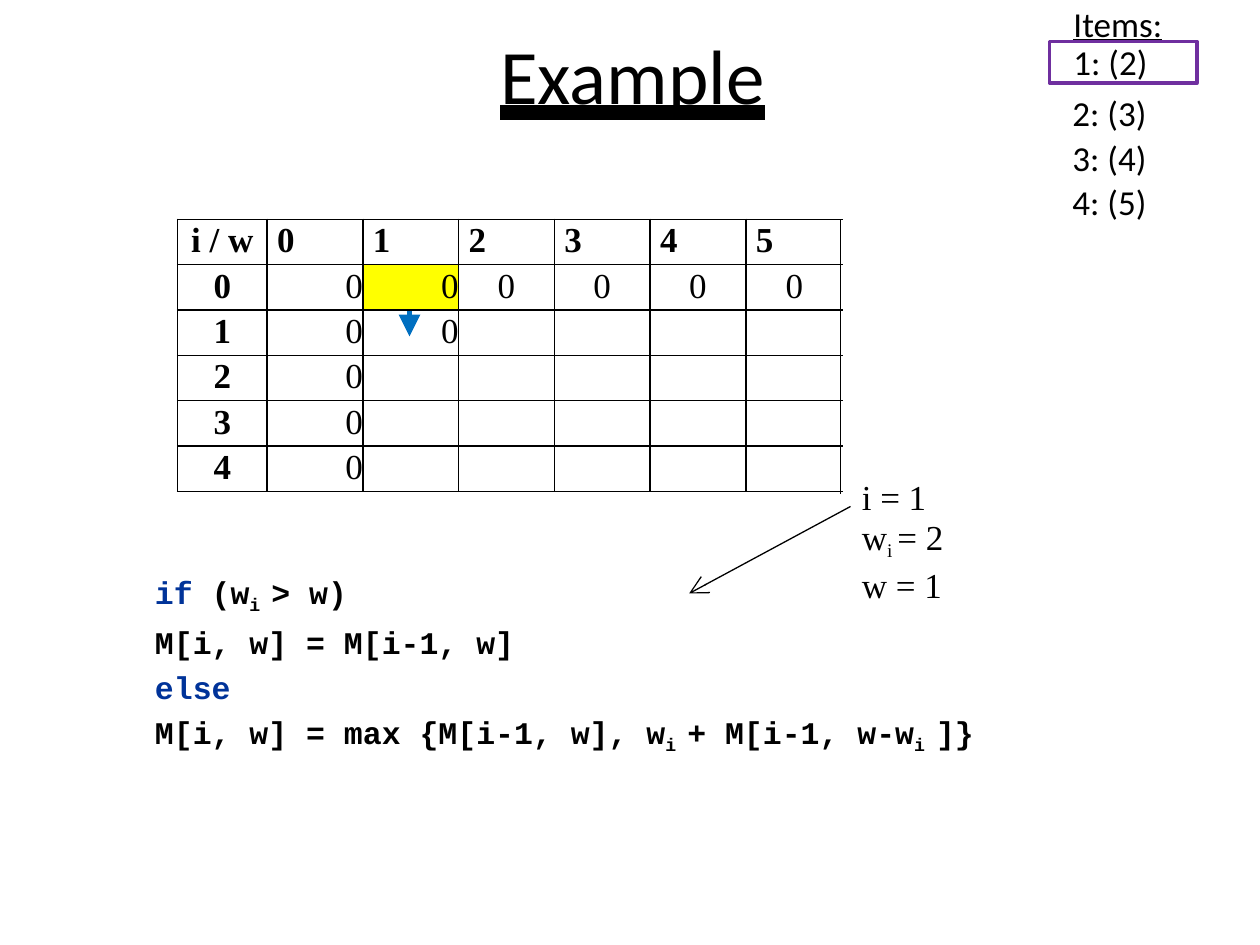
from lxml.etree import SubElement
from pptx import Presentation
from pptx.dml.color import RGBColor as Color
from pptx.enum.shapes import MSO_CONNECTOR as Connector, MSO_SHAPE as Shape
from pptx.enum.text import MSO_ANCHOR as Anchor, MSO_UNDERLINE as Underline, PP_ALIGN as Align
from pptx.oxml.ns import qn
from pptx.util import Inches, Pt

COLORS = {"black": "000000", "purple": "6F2F9F", "keyword": "003399",
          "arrow": "006FC0", "highlight": "FFFF00"}
SUB = {"baseline": -21000}


def color(name):
    return Color.from_string(COLORS[name])


def write_text(frame, lines, align=Align.LEFT, before=0, spacing=None, **style):
    frame.word_wrap = True
    frame.vertical_anchor = Anchor.TOP
    frame.margin_left = frame.margin_right = frame.margin_top = frame.margin_bottom = 0
    for index, line in enumerate(lines):
        paragraph = frame.add_paragraph() if index else frame.paragraphs[0]
        paragraph.alignment = align
        paragraph.space_before = Pt(before if index else 0)
        if spacing:
            paragraph.line_spacing = Pt(spacing)
        for text, changes in [(line, {})] if isinstance(line, str) else line:
            look = {**style, **changes}
            run = paragraph.add_run()
            run.text = text
            run.font.name = look.get("font", "Calibri")
            run.font.size = Pt(look.get("size", 20))
            run.font.bold = look.get("bold", False)
            run.font.underline = look.get("underline")
            run.font.color.rgb = color(look.get("ink", "black"))
            if "baseline" in look:
                run.font._element.set("baseline", str(look["baseline"]))


class SlideBuilder:
    def __init__(self, slide):
        self.slide = slide

    def text(self, left, top, width, height, lines, **style):
        box = self.slide.shapes.add_textbox(Inches(left), Inches(top), Inches(width), Inches(height))
        write_text(box.text_frame, lines, **style)

    def outline_box(self, left, top, width, height, label, indent, **style):
        shape = self.slide.shapes.add_shape(
            Shape.RECTANGLE, Inches(left), Inches(top), Inches(width), Inches(height))
        shape.shadow.inherit = False
        shape.fill.background()
        shape.line.color.rgb = color("purple")
        shape.line.width = Pt(2)
        write_text(shape.text_frame, [label], **style)
        shape.text_frame.margin_left = Inches(indent)

    def line(self, x1, y1, x2, y2, ink="black", weight=1, head=None):
        line = self.slide.shapes.add_connector(
            Connector.STRAIGHT, Inches(x1), Inches(y1), Inches(x2), Inches(y2))
        line.line.color.rgb = color(ink)
        line.line.width = Pt(weight)
        if head:
            SubElement(line.line._get_or_add_ln(), qn("a:tailEnd"), type=head, w="lg", len="lg")
        SubElement(line._element.spPr, qn("a:effectLst"))

    def borders(self, cell, sides):
        properties = cell._tc.get_or_add_tcPr()
        for side in "LRTB":
            border = SubElement(properties, qn(f"a:ln{side}"), w=str(Pt(1)))
            if side in sides:
                fill = SubElement(border, qn("a:solidFill"))
                SubElement(fill, qn("a:srgbClr"), val=COLORS["black"])
            else:
                SubElement(border, qn("a:noFill"))

    def table(self, left, top, widths, row_height, rows, highlighted):
        table = self.slide.shapes.add_table(
            len(rows), len(widths), Inches(left), Inches(top),
            Inches(sum(widths)), Inches(row_height * len(rows))).table
        table.first_row = table.horz_banding = False
        for column, width in zip(table.columns, widths):
            column.width = Inches(width)
        for r, values in enumerate(rows):
            table.rows[r].height = Inches(row_height)
            for c, value in enumerate(values):
                cell = table.cell(r, c)
                self.borders(cell, "LTB" if c == len(widths) - 1 else "LRTB")
                heading = r == 0 and c > 0
                align = Align.LEFT if heading else Align.RIGHT if c in (1, 2) else Align.CENTER
                if value:
                    write_text(cell.text_frame, [value], align=align, spacing=23.4,
                               font="Times New Roman", bold=r == 0 or c == 0)
                cell.margin_left = Inches(0.08 if heading else 0)
                cell.margin_right = cell.margin_top = cell.margin_bottom = 0
                if (r, c) == highlighted:
                    cell.fill.solid()
                    cell.fill.fore_color.rgb = color("highlight")
                else:
                    cell.fill.background()


def main():
    presentation = Presentation()
    presentation.slide_width, presentation.slide_height = Inches(10), Inches(7.5)
    builder = SlideBuilder(presentation.slides.add_slide(presentation.slide_layouts[6]))

    builder.text(3.97, 0.22, 2.2, 0.75, ["Example"], size=44, underline=Underline.HEAVY_LINE)
    builder.text(8.52, 0.02, 0.8, 0.34, ["Items:"], underline=True)
    builder.outline_box(8.33, 0.33, 1.17, 0.33, "1: (2)", indent=0.19, spacing=23.2)
    builder.text(6.84, 0.73, 2.26, 1.1, ["2: (3)", "3: (4)", "4: (5)"],
                 align=Align.RIGHT, before=1.2)
    builder.text(6.84, 3.76, 1.2, 1.05,
                 ["i = 1", [("w", {}), ("i ", {"size": 19, **SUB}), ("= 2", {})], "w = 1"],
                 font="Times New Roman", spacing=25)

    keyword = {"ink": "keyword"}
    code = [
        [("if ", keyword), ("(w", {}), ("i ", SUB), ("> w)", {})],
        "M[i, w] = M[i-1, w]",
        [("else", keyword)],
        [("M[i, w] = max {M[i-1, w], w", {}), ("i ", SUB), ("+ M[i-1, w-w", {}),
         ("i ", SUB), ("]}", {})],
    ]
    builder.text(1.23, 4.55, 7.91, 1.4, code, font="Courier New", size=18, bold=True, before=4.3)

    widths = [0.71] + [0.76] * 4 + [0.76, 0.77]
    rows = [["i / w", *"012345"], ["0", *"000000"], ["1", "0", "0", *[""] * 4]]
    rows += [[item, "0", *[""] * 5] for item in "234"]
    builder.line(6.67, 1.74, 6.67, 3.92)
    builder.line(3.25, 2.25, 3.25, 2.67, ink="arrow", weight=2.5, head="triangle")
    builder.table(1.41, 1.74, widths, 0.36, rows, highlighted=(1, 2))
    builder.line(6.75, 4.02, 5.47, 4.71, weight=0.75, head="arrow")

    presentation.save("out.pptx")


if __name__ == "__main__":
    main()
